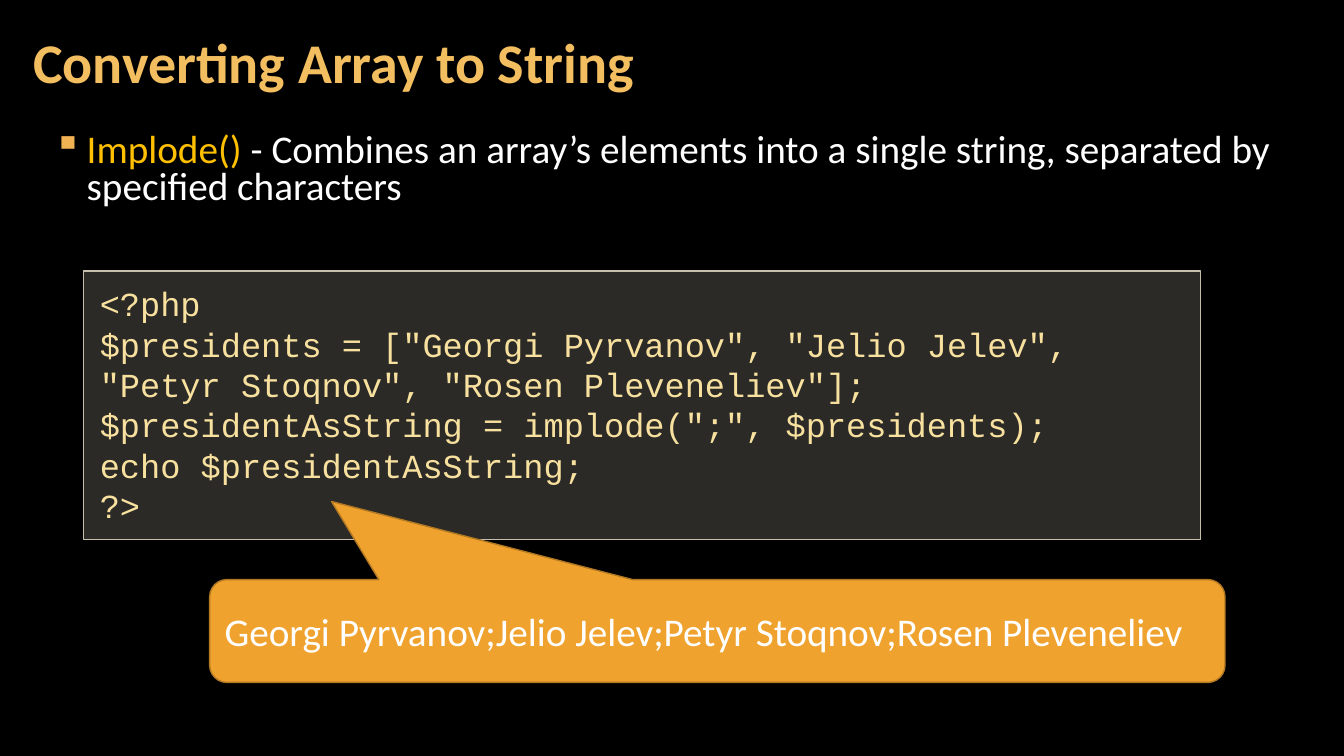
from lxml import etree
from pptx import Presentation, util as u
from pptx.dml.color import RGBColor
from pptx.enum import shapes, text
from pptx.oxml.ns import qn

HUES = {
    "back": "000000", "title": "F3BE60", "bullet": "F2B254", "key": "FFC000",
    "white": "FFFFFF", "code": "F8E19F", "panel": "D9D5C7", "edge": "C7BFAC",
    "call": "F0A22E", "rim": "B27822",
}
SANS, MONO = "Calibri", "Courier New"


def hue(name):
    return RGBColor.from_string(HUES[name])


class Page:
    """Holds the current slide and its style."""

    def __init__(self, deck):
        self.slide = deck.slides.add_slide(deck.slide_layouts[5])
        fill = self.slide.background.fill
        fill.solid()
        fill.fore_color.rgb = hue("back")

    def frame(self, shape, pad, anchor):
        body = shape.text_frame
        body.word_wrap = True
        body.auto_size = text.MSO_AUTO_SIZE.NONE
        body.vertical_anchor = anchor
        body.margin_left = body.margin_right = u.Inches(pad[0])
        body.margin_top = body.margin_bottom = u.Inches(pad[1])
        return body

    def style(self, para, size, color, face=SANS, bold=False):
        para.alignment = text.PP_ALIGN.LEFT
        font = para.font
        font.size, font.name, font.bold = u.Pt(size), face, bold
        font.color.rgb = hue(color)

    def title(self, box, words):
        shape = self.slide.shapes.title
        shape.left, shape.top, shape.width, shape.height = map(u.Inches, box)
        body = self.frame(shape, (0.12, 0.04), text.MSO_ANCHOR.MIDDLE)
        body.text = words
        para = body.paragraphs[0]
        para.line_spacing = 0.9
        self.style(para, 40, "title", bold=True)

    def bullet(self, box, parts):
        shape = self.slide.shapes.add_textbox(*map(u.Inches, box))
        body = self.frame(shape, (0.12, 0.04), text.MSO_ANCHOR.TOP)
        para = body.paragraphs[0]
        para.line_spacing = 0.8
        para.space_before = para.space_after = u.Pt(6)
        props = para._p.get_or_add_pPr()
        props.set("marL", str(u.Inches(0.33)))
        props.set("indent", str(u.Inches(-0.33)))
        tint = etree.SubElement(props, qn("a:buClr"))
        etree.SubElement(tint, qn("a:srgbClr"), val=HUES["bullet"])
        etree.SubElement(props, qn("a:buChar"), char="▪")
        self.style(para, 28, "white")
        for words, color in parts:
            run = para.add_run()
            run.text = words
            run.font.color.rgb = hue(color)

    def panel(self, kind, box, fill, line, alpha=100):
        shape = self.slide.shapes.add_shape(kind, *map(u.Inches, box))
        shape.shadow.inherit = False
        shape.fill.solid()
        shape.fill.fore_color.rgb = hue(fill)
        if alpha < 100:
            tint = shape.fill._xPr.find(".//" + qn("a:srgbClr"))
            etree.SubElement(tint, qn("a:alpha"), val=str(alpha * 1000))
        shape.line.color.rgb = hue(line)
        shape.line.width = u.Pt(1)
        return shape

    def code(self, box, lines):
        shape = self.panel(shapes.MSO_SHAPE.RECTANGLE, box, "panel", "edge", 20)
        body = self.frame(shape, (0.16, 0.12), text.MSO_ANCHOR.TOP)
        body.text = "\n".join(lines)
        for para in body.paragraphs:
            self.style(para, 24, "code", MONO)

    def callout(self, box, tail, words):
        kind = shapes.MSO_SHAPE.ROUNDED_RECTANGULAR_CALLOUT
        shape = self.panel(kind, box, "call", "rim")
        shape.adjustments[0], shape.adjustments[1] = tail
        body = self.frame(shape, (0.1, 0.05), text.MSO_ANCHOR.MIDDLE)
        body.text = words
        self.style(body.paragraphs[0], 28, "white")


def main():
    deck = Presentation()
    deck.slide_width, deck.slide_height = u.Inches(13.33), u.Inches(7.5)
    page = Page(deck)

    # Heading and explanation
    page.title((0.21, 0.04, 10.47, 1.21), "Converting Array to String")
    page.bullet((0.41, 1.28, 12.91, 4.92), [
        ("Implode()", "key"),
        (" - Combines an array’s elements into a single string, "
         "separated by specified characters", "white"),
    ])

    # Code sample
    names = ["Georgi Pyrvanov", "Jelio Jelev", "Petyr Stoqnov", "Rosen Pleveneliev"]
    items = ", ".join(f'"{name}"' for name in names)
    page.code((0.83, 2.69, 11.08, 2.66), [
        "<?php",
        f"$presidents = [{items}];",
        '$presidentAsString = implode(";", $presidents);',
        "echo $presidentAsString;",
        "?>",
    ])

    # Output of the sample
    page.callout((2.08, 5.75, 10.07, 1.02), (-0.38, -1.26), ";".join(names))
    deck.save("out.pptx")


if __name__ == "__main__":
    main()
